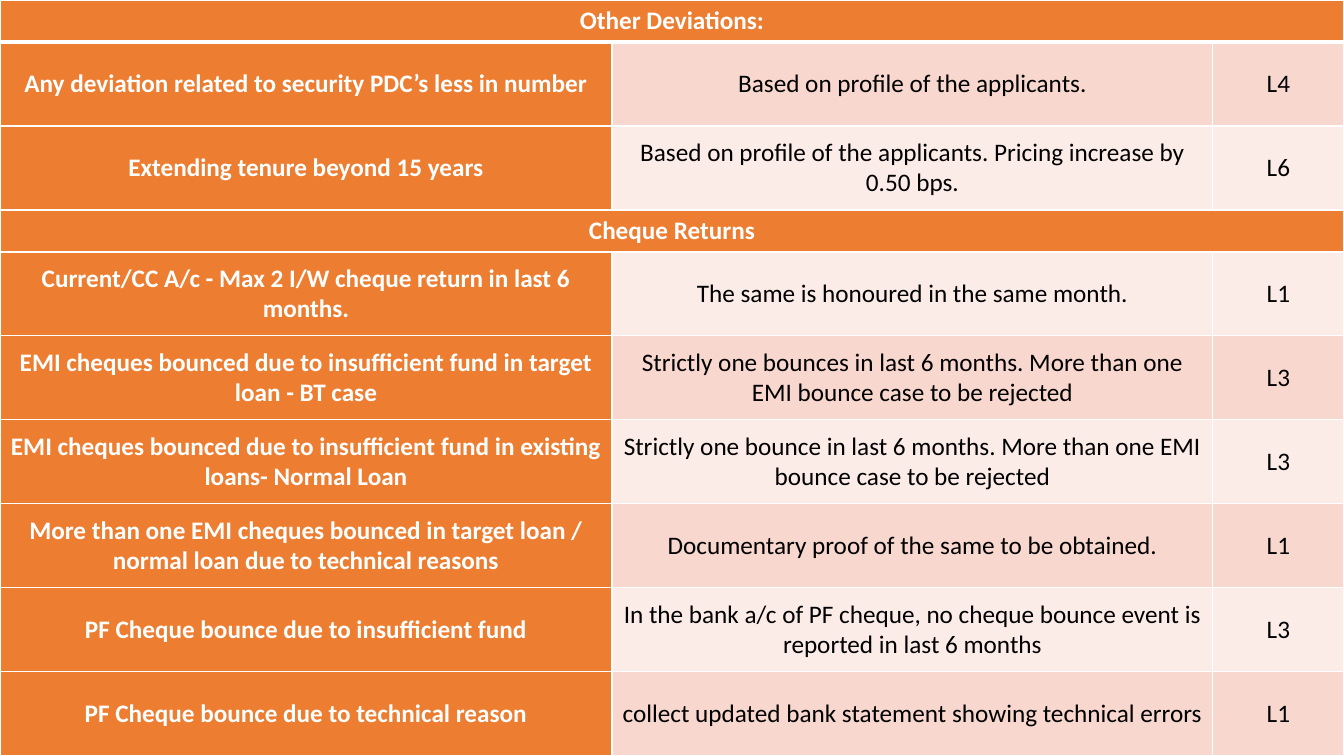
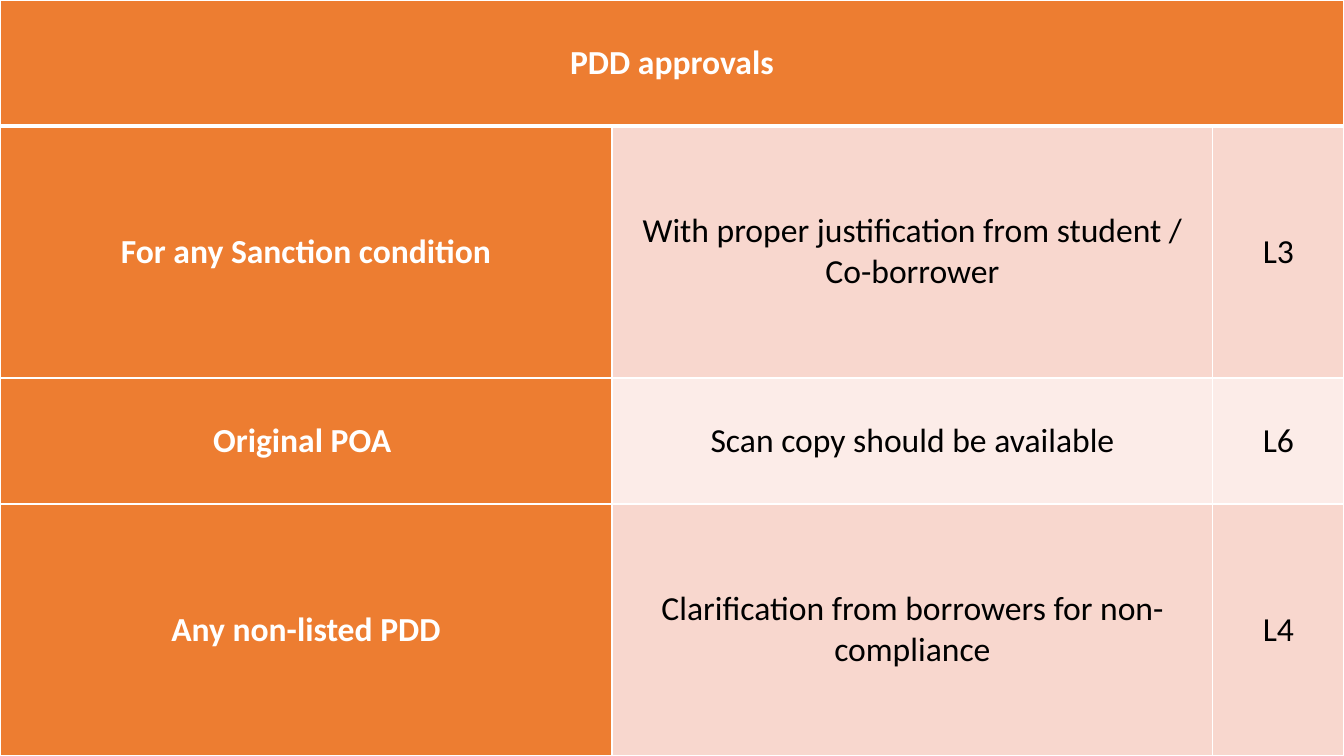
"""Build the two slides of deviation and approval tables."""
import dataclasses

import pptx
import pptx.dml.color
import pptx.enum.text
import pptx.oxml
import pptx.oxml.ns
import pptx.util

Inches = pptx.util.Inches
Pt = pptx.util.Pt


@dataclasses.dataclass(frozen=True)
class Theme:
    """Colours, type and line widths shared by the slides."""
    font: str = "Calibri"
    accent: str = "ED7D31"
    bands: tuple = ("FCECE8", "F8D7CE")
    light: str = "FFFFFF"
    dark: str = "000000"
    dense_size: int = 18
    roomy_size: int = 24
    rule: int = 1
    header_rule: int = 3


THEME = Theme()
SLIDE_SIZE = (Inches(13.33), Inches(7.5))
COLUMN_SHARES = (6.07, 5.96, 1.3)

DEVIATIONS = [
    (1, "Other Deviations:"),
    (2, "Any deviation related to security PDC’s less in number",
     "Based on profile of the applicants.", "L4"),
    (2, "Extending tenure beyond 15 years",
     "Based on profile of the applicants. Pricing increase by 0.50 bps.", "L6"),
    (1, "Cheque Returns"),
    (2, "Current/CC A/c - Max 2 I/W cheque return in last 6 months.",
     "The same is honoured in the same month.", "L1"),
    (2, "EMI cheques bounced due to insufficient fund in target loan - BT case",
     "Strictly one bounces in last 6 months. More than one EMI bounce case to be rejected",
     "L3"),
    (2, "EMI cheques bounced due to insufficient fund in existing loans- Normal Loan",
     "Strictly one bounce in last 6 months. More than one EMI bounce case to be rejected",
     "L3"),
    (2, "More than one EMI cheques bounced in target loan / normal loan due to technical reasons",
     "Documentary proof of the same to be obtained.", "L1"),
    (2, "PF Cheque bounce due to insufficient fund",
     "In the bank a/c of PF cheque, no cheque bounce event is reported in last 6 months",
     "L3"),
    (2, "PF Cheque bounce due to technical reason",
     "collect updated bank statement showing technical errors", "L1"),
]

APPROVALS = [
    (1, "PDD approvals"),
    (2, "For any Sanction condition",
     "With proper justification from student / Co-borrower", "L3"),
    (1, "Original POA ", "Scan copy should be available", "L6"),
    (2, "Any non-listed PDD", "Clarification from borrowers for non-compliance", "L4"),
]


def rgb(value):
    """Return a colour object for a hex string."""
    return pptx.dml.color.RGBColor.from_string(value)


def set_borders(cell, row):
    """Rule a cell in white, with a heavier line under the first row."""
    widths = {
        "L": THEME.rule,
        "R": THEME.rule,
        "T": THEME.header_rule if row == 1 else THEME.rule,
        "B": THEME.header_rule if row == 0 else THEME.rule,
    }
    tc_pr = cell._tc.get_or_add_tcPr()
    for side, width in widths.items():
        tc_pr.append(pptx.oxml.parse_xml(
            f'<a:ln{side} {pptx.oxml.ns.nsdecls("a")} w="{Pt(width)}"><a:solidFill>'
            f'<a:srgbClr val="{THEME.light}"/></a:solidFill></a:ln{side}>'))


def write_cell(cell, text, size, margin, heading):
    """Write centred text in the heading or body format."""
    layout = {
        "vertical_anchor": pptx.enum.text.MSO_ANCHOR.MIDDLE,
        "margin_left": margin,
        "margin_right": margin,
        "margin_top": 0,
        "margin_bottom": 0,
    }
    for name, value in layout.items():
        setattr(cell, name, value)
    p = cell.text_frame.paragraphs[0]
    p.alignment = pptx.enum.text.PP_ALIGN.CENTER
    r = p.add_run()
    r.text = text
    for name, value in {"name": THEME.font, "size": Pt(size), "bold": heading}.items():
        setattr(r.font, name, value)
    r.font.color.rgb = rgb(THEME.light if heading else THEME.dark)


def add_level_table(s, box, rows, size, margin):
    """Fill a box with section rows and condition rows by weight."""
    left, top, width, height = box
    table = s.shapes.add_table(
        len(rows), len(COLUMN_SHARES), left, top, width, height).table
    for column, share in zip(table.columns, COLUMN_SHARES):
        column.width = int(width * share / sum(COLUMN_SHARES))
    total = sum(weight for weight, *_ in rows)
    for i, (weight, *texts) in enumerate(rows):
        table.rows[i].height = int(height * weight / total)
        is_section = len(texts) == 1
        for j in range(len(COLUMN_SHARES)):
            cell = table.cell(i, j)
            heading = is_section or j == 0
            set_borders(cell, i)
            cell.fill.solid()
            cell.fill.fore_color.rgb = rgb(THEME.accent if heading else THEME.bands[i % 2])
            if j < len(texts):
                write_cell(cell, texts[j], size, margin, heading)
        if is_section:
            table.cell(i, 0).merge(table.cell(i, len(COLUMN_SHARES) - 1))


def main():
    """Build and save the presentation."""
    prs = pptx.Presentation()
    prs.slide_width, prs.slide_height = SLIDE_SIZE
    box = (0, 0, *SLIDE_SIZE)
    for rows, size, margin in (
        (DEVIATIONS, THEME.dense_size, Inches(0.07)),
        (APPROVALS, THEME.roomy_size, Inches(0.11)),
    ):
        s = prs.slides.add_slide(prs.slide_layouts.get_by_name("Blank"))
        add_level_table(s, box, rows, size, margin)
    prs.save("out.pptx")


if __name__ == "__main__":
    main()
